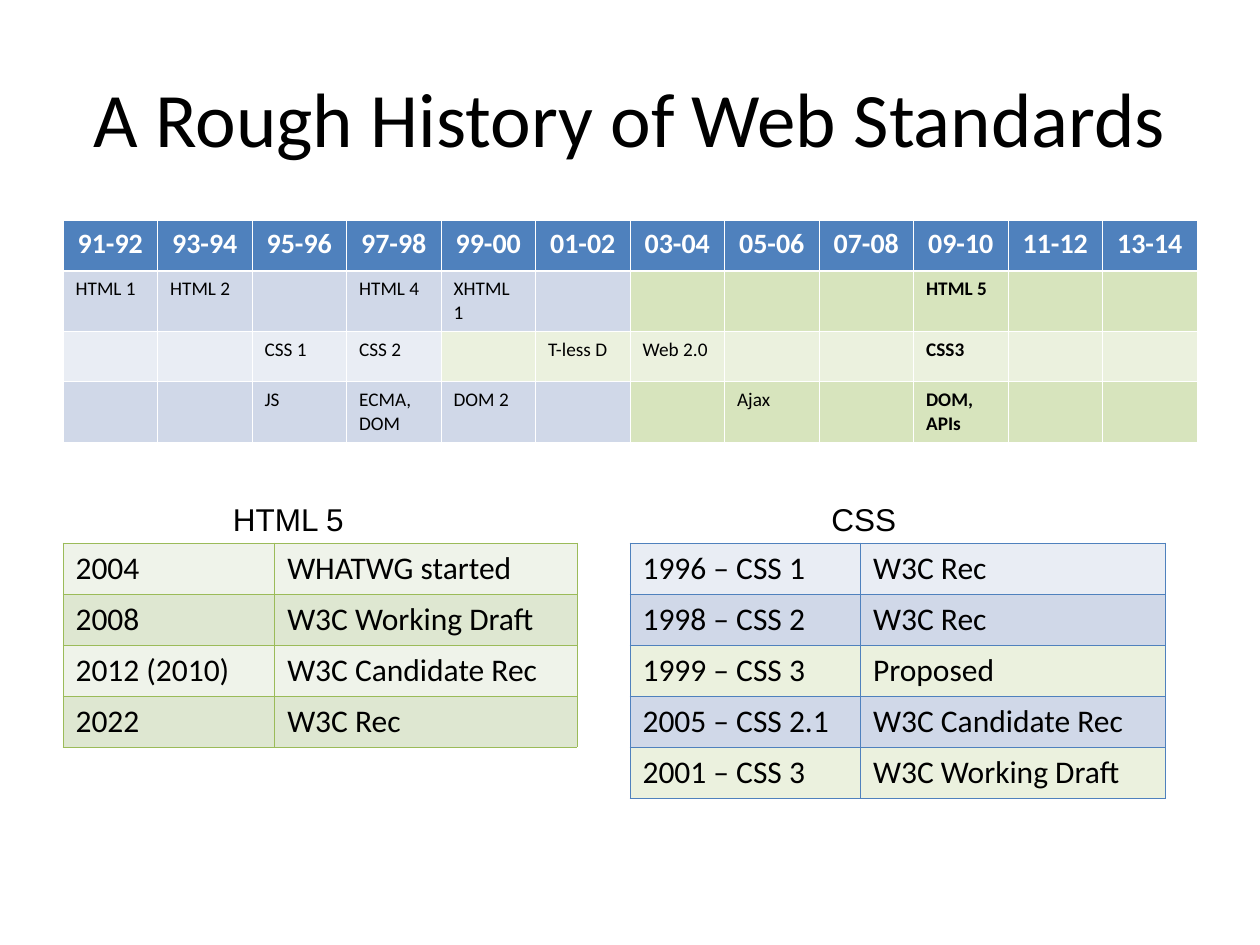
from dataclasses import dataclass

from lxml import etree
from pptx import Presentation
from pptx import util as u
from pptx.dml.color import RGBColor
from pptx.enum import text
from pptx.oxml.ns import qn


@dataclass(frozen=True)
class Theme:
    body_font: str = "Calibri"
    caption_font: str = "Arial"
    title_size: float = 44
    text_size: float = 18
    year_size: float = 16
    entry_size: float = 11
    thin: float = 0.45
    thick: float = 1.47
    black: str = "000000"
    white: str = "FFFFFF"
    blue: str = "4F81BD"
    blue_mid: str = "D0D8E8"
    blue_pale: str = "E9EDF4"
    green: str = "9BBB59"
    green_mid: str = "D7E4BD"
    green_pale: str = "EBF1DE"
    sage_mid: str = "DEE7D1"
    sage_pale: str = "EFF3EA"


THEME = Theme()
GRID_COLUMNS, GRID_ROWS = 100, 75
SLIDE_WIDTH, SLIDE_HEIGHT = u.Inches(10), u.Inches(7.5)

YEARS = [f"{year % 100:02}-{(year + 1) % 100:02}" for year in range(1991, 2015, 2)]
# Each row: entries by period, first green period, blue fill, green fill
TIMELINE = [
    ({"91-92": "HTML 1", "93-94": "HTML 2", "97-98": "HTML 4", "99-00": "XHTML 1",
      "09-10": "HTML 5"}, "03-04", THEME.blue_mid, THEME.green_mid),
    ({"95-96": "CSS 1", "97-98": "CSS 2", "01-02": "T-less D", "03-04": "Web 2.0",
      "09-10": "CSS3"}, "99-00", THEME.blue_pale, THEME.green_pale),
    ({"95-96": "JS", "97-98": "ECMA, DOM", "99-00": "DOM 2", "05-06": "Ajax",
      "09-10": "DOM, APIs"}, "03-04", THEME.blue_mid, THEME.green_mid),
]
HIGHLIGHT = "09-10"

HTML_STAGES = [
    ("2004", "WHATWG started", THEME.sage_pale),
    ("2008", "W3C Working Draft", THEME.sage_mid),
    ("2012 (2010)", "W3C Candidate Rec", THEME.sage_pale),
    ("2022", "W3C Rec", THEME.sage_mid),
]
CSS_STAGES = [
    ("1996 – CSS 1", "W3C Rec", THEME.blue_pale),
    ("1998 – CSS 2", "W3C Rec", THEME.blue_mid),
    ("1999 – CSS 3", "Proposed", THEME.green_pale),
    ("2005 – CSS 2.1", "W3C Candidate Rec", THEME.blue_mid),
    ("2001 – CSS 3", "W3C Working Draft", THEME.green_pale),
]


def across(columns):
    return round(SLIDE_WIDTH * columns / GRID_COLUMNS)


def down(rows):
    return round(SLIDE_HEIGHT * rows / GRID_ROWS)


def place(box):
    """Turn a (left, top, width, height) box in grid units into lengths."""
    left, top, width, height = box
    return across(left), down(top), across(width), down(height)


def write(paragraph, words, size, color=THEME.black, font=THEME.body_font,
          bold=False, align=text.PP_ALIGN.LEFT):
    paragraph.text = words
    paragraph.alignment = align
    paragraph.font.name = font
    paragraph.font.size = u.Pt(size)
    paragraph.font.bold = bold
    paragraph.font.color.rgb = RGBColor.from_string(color)


def paint(cell, fill, line, top=THEME.thin, bottom=THEME.thin):
    """Fill a cell and draw its four borders, with widths in points."""
    properties = cell._tc.get_or_add_tcPr()
    widths = {"lnL": THEME.thin, "lnR": THEME.thin, "lnT": top, "lnB": bottom}
    for side, width in widths.items():
        border = etree.SubElement(properties, qn(f"a:{side}"), w=str(u.Pt(width)))
        solid = etree.SubElement(border, qn("a:solidFill"))
        etree.SubElement(solid, qn("a:srgbClr"), val=line)
    cell.fill.solid()
    cell.fill.fore_color.rgb = RGBColor.from_string(fill)


def add_grid(slide, box, column_widths, row_heights, header=False):
    """Add a table whose columns and rows share the box in the given proportions."""
    frame = slide.shapes.add_table(len(row_heights), len(column_widths), *place(box))
    table = frame.table
    table.first_row = header
    table.horz_banding = False
    for column, width in zip(table.columns, column_widths):
        column.width = across(box[2] * width / sum(column_widths))
    for row, height in zip(table.rows, row_heights):
        row.height = down(box[3] * height / sum(row_heights))
    return table


def add_title(slide, box, words):
    frame = slide.shapes.add_textbox(*place(box)).text_frame
    frame.word_wrap = True
    frame.vertical_anchor = text.MSO_ANCHOR.MIDDLE
    write(frame.paragraphs[0], words, THEME.title_size, align=text.PP_ALIGN.CENTER)


def add_caption(slide, box, words):
    frame = slide.shapes.add_textbox(*place(box)).text_frame
    frame.word_wrap = True
    write(frame.paragraphs[0], words, THEME.text_size, font=THEME.caption_font)


def add_timeline(slide, box):
    table = add_grid(slide, box, [1] * len(YEARS), [4, 4.8, 4, 4.8], header=True)
    for column, period in enumerate(YEARS):
        heading = table.cell(0, column)
        paint(heading, THEME.blue, THEME.white, bottom=THEME.thick)
        write(heading.text_frame.paragraphs[0], period, THEME.year_size, THEME.white,
              bold=True, align=text.PP_ALIGN.CENTER)
        for row, (entries, green_from, blue, green) in enumerate(TIMELINE, start=1):
            cell = table.cell(row, column)
            fill = green if column >= YEARS.index(green_from) else blue
            paint(cell, fill, THEME.white, top=THEME.thick if row == 1 else THEME.thin)
            write(cell.text_frame.paragraphs[0], entries.get(period, ""),
                  THEME.entry_size, bold=period == HIGHLIGHT)


def add_stages(slide, box, column_widths, stages, line):
    table = add_grid(slide, box, column_widths, [1] * len(stages))
    for row, (date, status, fill) in enumerate(stages):
        for column, words in enumerate((date, status)):
            cell = table.cell(row, column)
            paint(cell, fill, line)
            write(cell.text_frame.paragraphs[0], words, THEME.text_size)


def main():
    deck = Presentation()
    deck.slide_width, deck.slide_height = SLIDE_WIDTH, SLIDE_HEIGHT
    slide = deck.slides.add_slide(deck.slide_layouts[6])
    add_title(slide, (5, 3, 90, 12.5), "A Rough History of Web Standards")
    add_timeline(slide, (5, 17.5, 90, 17.6))
    add_stages(slide, (5, 43.1, 40.8, 16.2), (16.8, 24), HTML_STAGES, THEME.green)
    add_stages(slide, (50, 43.1, 42.5, 20.3), (18.3, 24.2), CSS_STAGES, THEME.blue)
    add_caption(slide, (17.5, 39.2, 11.5, 4), "HTML 5")
    add_caption(slide, (65, 39.2, 7.5, 4), "CSS")
    deck.save("out.pptx")


if __name__ == "__main__":
    main()
